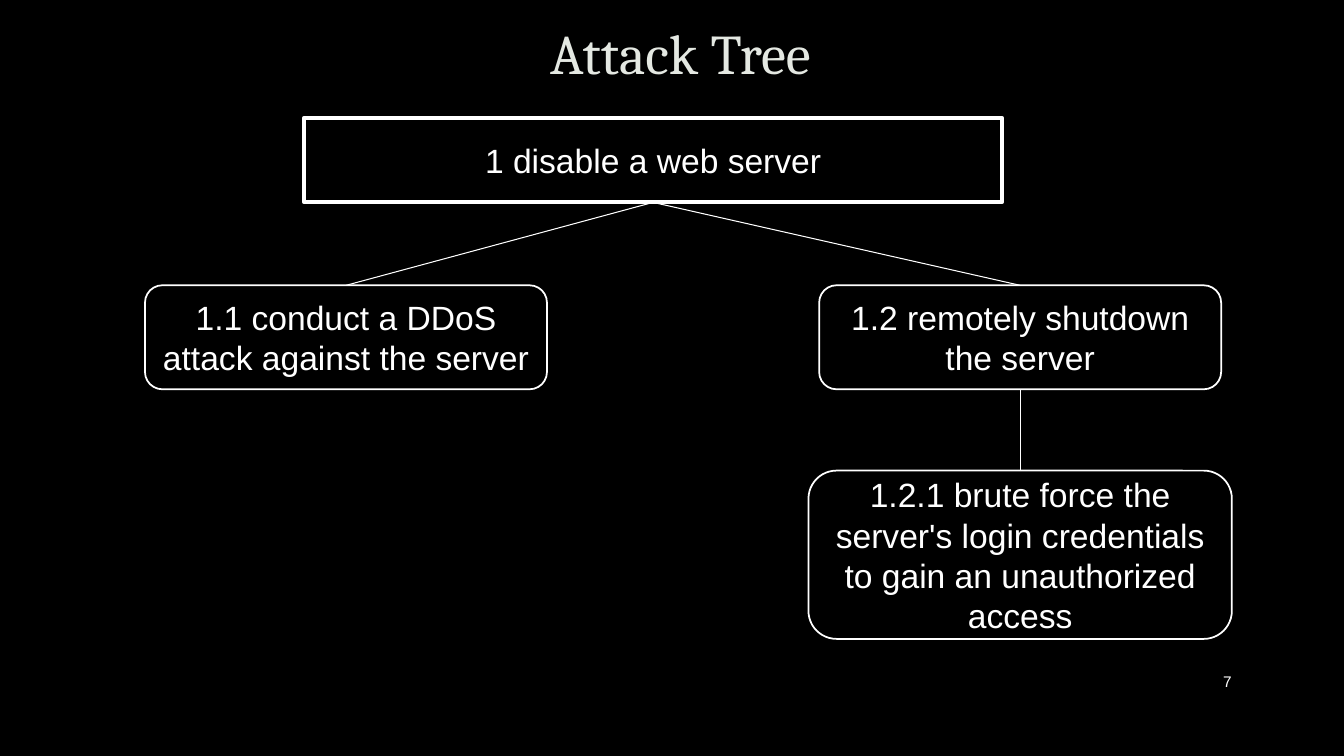
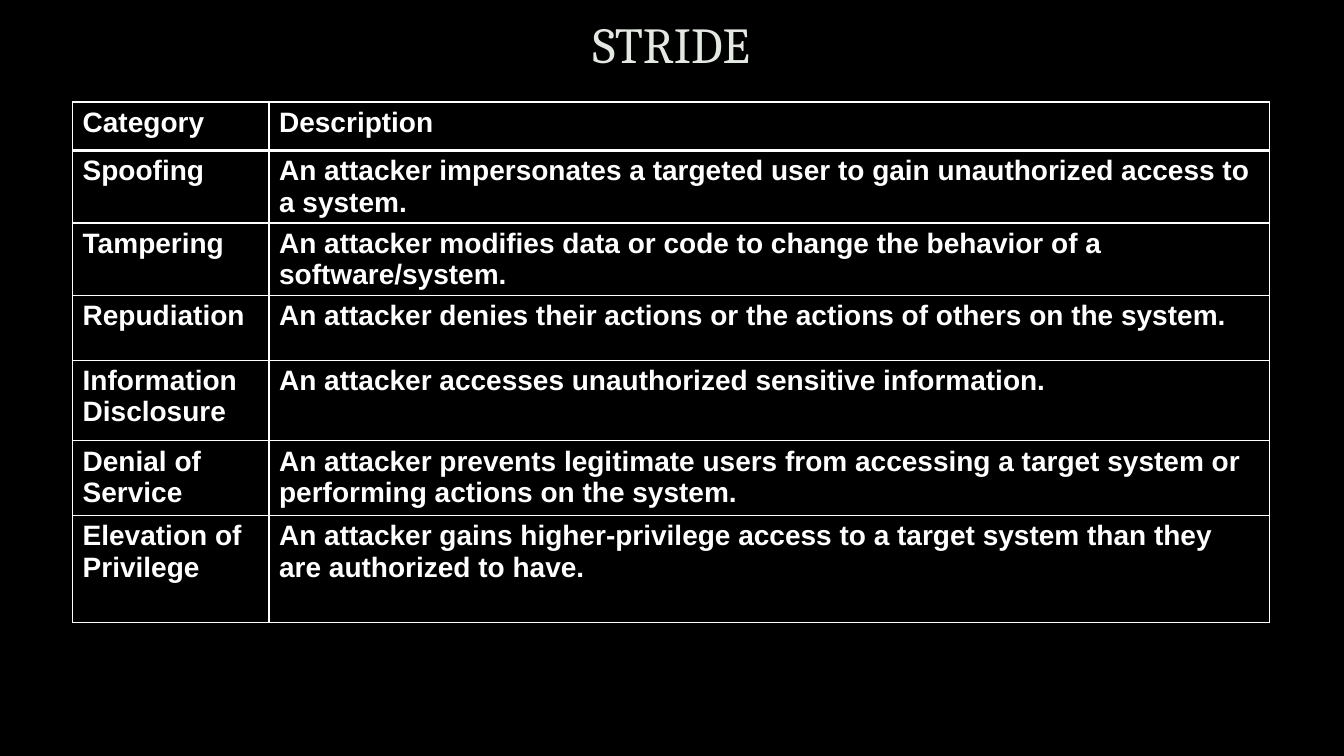
from lxml.etree import SubElement
from pptx import Presentation
from pptx.dml.color import RGBColor
from pptx.enum.shapes import MSO_CONNECTOR, MSO_SHAPE
from pptx.enum.text import MSO_ANCHOR, MSO_AUTO_SIZE, PP_ALIGN
from pptx.oxml import parse_xml
from pptx.oxml.ns import nsdecls, qn
from pptx.util import Cm, Pt

BLACK, WHITE, TITLE_COLOR = "000000", "FFFFFF", "E4E8E2"
BODY_FONT, TITLE_FONT = "Arial", "Cambria"
TITLE_ONLY = 5
TOP, BOTTOM = 0, 2  # connection sites of a box


def rgb(color):
    return RGBColor.from_string(color)


class Deck:
    """Shared style and the slide being built."""

    def __init__(self):
        self.prs = Presentation()
        self.prs.slide_width, self.prs.slide_height = Cm(33.87), Cm(19.05)
        fill = self.prs.slide_master.background.fill
        fill.solid()
        fill.fore_color.rgb = rgb(BLACK)
        self.s = None

    def style(self, p, size, align=PP_ALIGN.LEFT, font=BODY_FONT,
              color=WHITE, bold=False):
        p.alignment = align
        p.font.name, p.font.size, p.font.bold = font, Pt(size), bold
        p.font.color.rgb = rgb(color)

    def slide(self, title, x, y, w, h, size):
        self.s = self.prs.slides.add_slide(self.prs.slide_layouts[TITLE_ONLY])
        sp = self.s.shapes.title
        sp.left, sp.top, sp.width, sp.height = Cm(x), Cm(y), Cm(w), Cm(h)
        tf = sp.text_frame
        tf.text = title
        tf.auto_size = MSO_AUTO_SIZE.NONE
        tf.vertical_anchor = MSO_ANCHOR.MIDDLE
        p = tf.paragraphs[0]
        p.line_spacing = 0.9
        self.style(p, size, PP_ALIGN.CENTER, TITLE_FONT, TITLE_COLOR)

    def page_number(self, number):
        sp = self.s.shapes.add_textbox(Cm(29.21), Cm(16.66), Cm(2.08), Cm(1.02))
        tf = sp.text_frame
        tf.word_wrap = True
        tf.vertical_anchor = MSO_ANCHOR.MIDDLE
        tf.text = str(number)
        self.style(tf.paragraphs[0], 11, PP_ALIGN.RIGHT)

    def box(self, text, center, top, w, h, shape=MSO_SHAPE.ROUNDED_RECTANGLE,
            line=1.25):
        sp = self.s.shapes.add_shape(
            shape, Cm(center - w / 2), Cm(top), Cm(w), Cm(h))
        sp.shadow.inherit = False
        sp.fill.solid()
        sp.fill.fore_color.rgb = rgb(BLACK)
        sp.line.color.rgb = rgb(WHITE)
        sp.line.width = Pt(line)
        tf = sp.text_frame
        tf.word_wrap = True
        tf.vertical_anchor = MSO_ANCHOR.MIDDLE
        tf.text = text
        self.style(tf.paragraphs[0], 24, PP_ALIGN.CENTER)
        return sp

    def branch(self, parent, child):
        line = self.s.shapes.add_connector(MSO_CONNECTOR.STRAIGHT, 0, 0, 0, 0)
        line.begin_connect(parent, BOTTOM)
        line.end_connect(child, TOP)
        line.line.color.rgb = rgb(WHITE)
        line.line.width = Pt(0.75)
        SubElement(line._element.spPr, qn("a:effectLst"))

    def borders(self, cell, top=1, bottom=1):
        tcPr = cell._tc.get_or_add_tcPr()
        widths = {"lnL": 1, "lnR": 1, "lnT": top, "lnB": bottom}
        for i, (tag, width) in enumerate(widths.items()):
            tcPr.insert(i, parse_xml(
                f'<a:{tag} {nsdecls("a")} w="{Pt(width)}"><a:solidFill>'
                f'<a:srgbClr val="{WHITE}"/></a:solidFill></a:{tag}>'))

    def table(self, x, y, widths, heights, rows):
        table = self.s.shapes.add_table(
            len(rows), len(widths), Cm(x), Cm(y),
            Cm(sum(widths)), Cm(sum(heights))).table
        table.horz_banding = False
        for column, width in zip(table.columns, widths):
            column.width = Cm(width)
        for i, (height, texts) in enumerate(zip(heights, rows)):
            table.rows[i].height = Cm(height)
            for cell, text in zip(table.rows[i].cells, texts):
                cell.text = text
                cell.fill.solid()
                cell.fill.fore_color.rgb = rgb(BLACK)
                self.style(cell.text_frame.paragraphs[0], 20, bold=True)
                # A thick rule separates the header from the body
                self.borders(cell, top=3 if i == 1 else 1,
                             bottom=3 if i == 0 else 1)


def attack_tree(deck):
    deck.slide("Attack Tree", 2.77, 0.36, 28.75, 2.13, 40)
    deck.page_number(7)

    # Goals and sub-goals
    left, right, level = 8.72, 25.71, 7.19
    goal = deck.box("1 disable a web server", 16.46, 2.97, 17.58, 2.13,
                    MSO_SHAPE.RECTANGLE, 3)
    ddos = deck.box("1.1 conduct a DDoS attack against the server",
                    left, level, 10.13, 2.62)
    shutdown = deck.box("1.2 remotely shutdown the server",
                        right, level, 10.13, 2.62)
    brute_force = deck.box(
        "1.2.1 brute force the server's login credentials "
        "to gain an unauthorized access", right, 11.86, 10.67, 4.24)

    # Branches
    for parent, child in ((goal, ddos), (goal, shutdown),
                          (shutdown, brute_force)):
        deck.branch(parent, child)


def stride(deck):
    deck.slide("STRIDE", 2.54, 0.38, 28.75, 1.63, 36)
    deck.table(1.83, 2.57, (4.95, 25.22),
               (1.22, 1.42, 1.37, 1.63, 2.03, 1.88, 2.69), (
        ("Category", "Description"),
        ("Spoofing", "An attacker impersonates a targeted user to gain "
                     "unauthorized access to a system."),
        ("Tampering", "An attacker modifies data or code to change the "
                      "behavior of a software/system."),
        ("Repudiation", "An attacker denies their actions or the actions "
                        "of others on the system."),
        ("Information Disclosure",
         "An attacker accesses unauthorized sensitive information."),
        ("Denial of Service",
         "An attacker prevents legitimate users from accessing a target "
         "system or performing actions on the system."),
        ("Elevation of Privilege",
         "An attacker gains higher-privilege access to a target system "
         "than they are authorized to have."),
    ))


def main():
    deck = Deck()
    attack_tree(deck)
    stride(deck)
    deck.prs.save("out.pptx")


if __name__ == "__main__":
    main()
